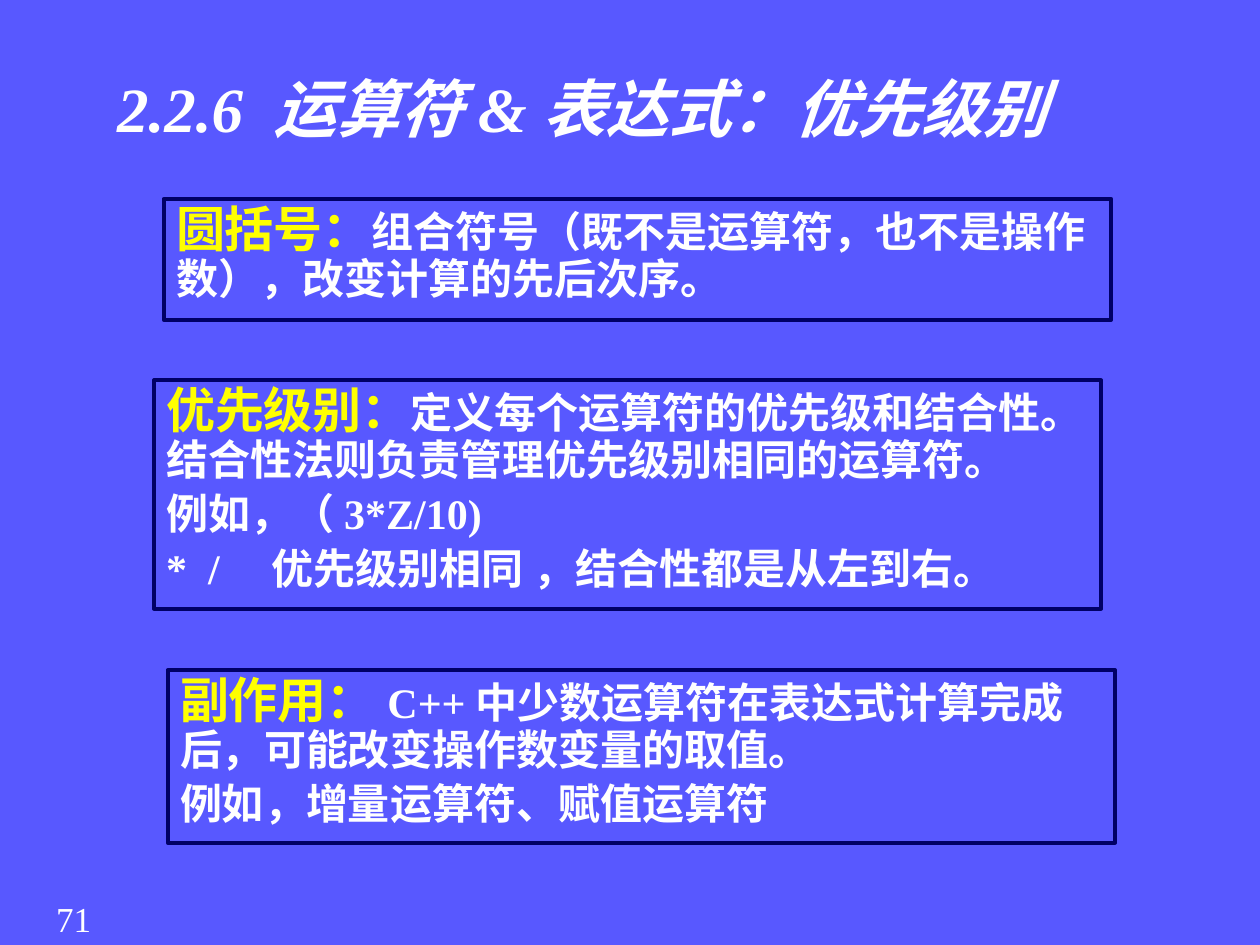
from lxml.etree import SubElement
from pptx import Presentation
from pptx.dml.color import RGBColor
from pptx.enum.shapes import MSO_SHAPE
from pptx.enum.text import MSO_ANCHOR, PP_ALIGN
from pptx.oxml.ns import qn
from pptx.util import Cm, Pt

BLUE = RGBColor(0x58, 0x58, 0xFF)
NAVY = RGBColor(0x00, 0x00, 0x66)
WHITE = RGBColor(0xFF, 0xFF, 0xFF)
YELLOW = RGBColor(0xFF, 0xFF, 0x00)
LATIN = "Times New Roman"
HAN = "Noto Sans CJK SC"

TITLE = {"name": LATIN, "size": Pt(36), "bold": True, "italic": True}
TERM = {"name": LATIN, "size": Pt(28), "bold": True}
BODY = {"name": LATIN, "size": Pt(24), "bold": True}
PAGE = {"name": LATIN, "size": Pt(20)}
FRAME = {"word_wrap": True, "vertical_anchor": MSO_ANCHOR.TOP}
PARA = {"alignment": PP_ALIGN.LEFT, "line_spacing": 0.9}

WIDTH = 19.1
NOTES = [
    ((3.3, 4.01, WIDTH, 2.44), "圆括号：",
     ["组合符号（既不是运算符，也不是操作数），改变计算的先后次序。"]),
    ((3.1, 7.67, WIDTH, 4.6), "优先级别：",
     ["定义每个运算符的优先级和结合性。结合性法则负责管理优先级别相同的运算符。",
      "例如，（3*Z/10)",
      "*  /    优先级别相同 ，结合性都是从左到右。"]),
    ((3.38, 13.51, WIDTH, 3.48), "副作用：",
     ["C++中少数运算符在表达式计算完成后，可能改变操作数变量的取值。",
      "例如，增量运算符、赋值运算符"]),
]


def apply(obj, form):
    """Set each attribute named in a dict of format values."""
    for key, val in form.items():
        setattr(obj, key, val)


def add_run(para, text, form, color=WHITE):
    """Add a run with Latin and Chinese fonts."""
    run = para.add_run()
    run.text = text
    apply(run.font, form)
    run.font.color.rgb = color
    SubElement(run.font._element, qn("a:ea"), typeface=HAN)


def add_line(slide, box, text, form, align):
    """Place a single line of text in a box."""
    frame = slide.shapes.add_textbox(*map(Cm, box)).text_frame
    apply(frame, FRAME)
    para = frame.paragraphs[0]
    para.alignment = align
    add_run(para, text, form)


def add_note(slide, box, term, lines):
    """Place a framed note that opens with its term."""
    shape = slide.shapes.add_shape(MSO_SHAPE.RECTANGLE, *map(Cm, box))
    shape.shadow.inherit = False
    shape.fill.background()
    shape.line.color.rgb = NAVY
    shape.line.width = Pt(2.25)
    frame = shape.text_frame
    apply(frame, FRAME)
    for num, text in enumerate(lines):
        para = frame.add_paragraph() if num else frame.paragraphs[0]
        apply(para, PARA)
        if num:
            para.space_before = Pt(5)
        else:
            add_run(para, term, TERM, YELLOW)
        add_run(para, text, BODY)


def main():
    """Build the slide and save it."""
    deck = Presentation()
    deck.slide_width, deck.slide_height = Cm(25.4), Cm(19.05)
    slide = deck.slides.add_slide(deck.slide_layouts[6])
    fill = slide.background.fill
    fill.solid()
    fill.fore_color.rgb = BLUE
    add_line(slide, (0.43, 17.96, 2.11, 1.09), "71", PAGE, PP_ALIGN.CENTER)
    add_line(slide, (2.11, 1.27, 22.56, 3.68),
             "2.2.6 运算符&表达式：优先级别", TITLE, PP_ALIGN.LEFT)
    for box, term, lines in NOTES:
        add_note(slide, box, term, lines)
    deck.save("out.pptx")


if __name__ == "__main__":
    main()
